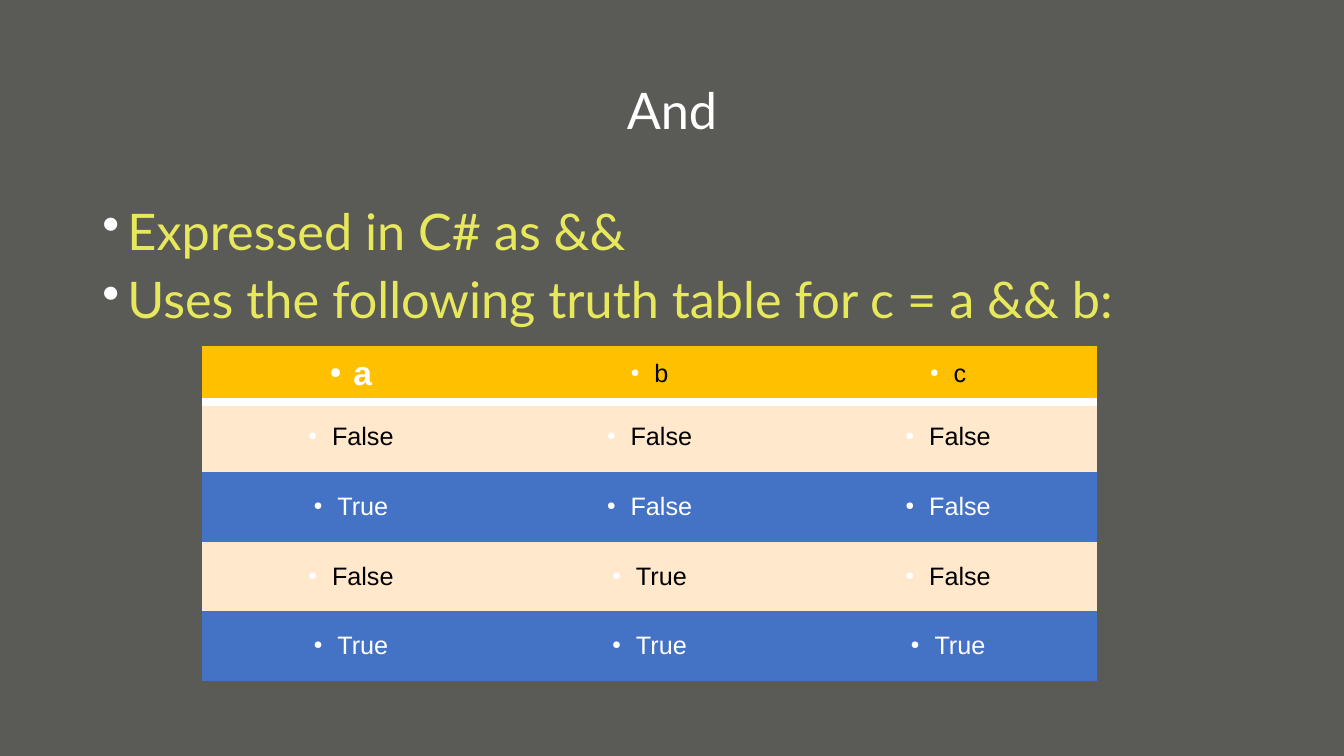
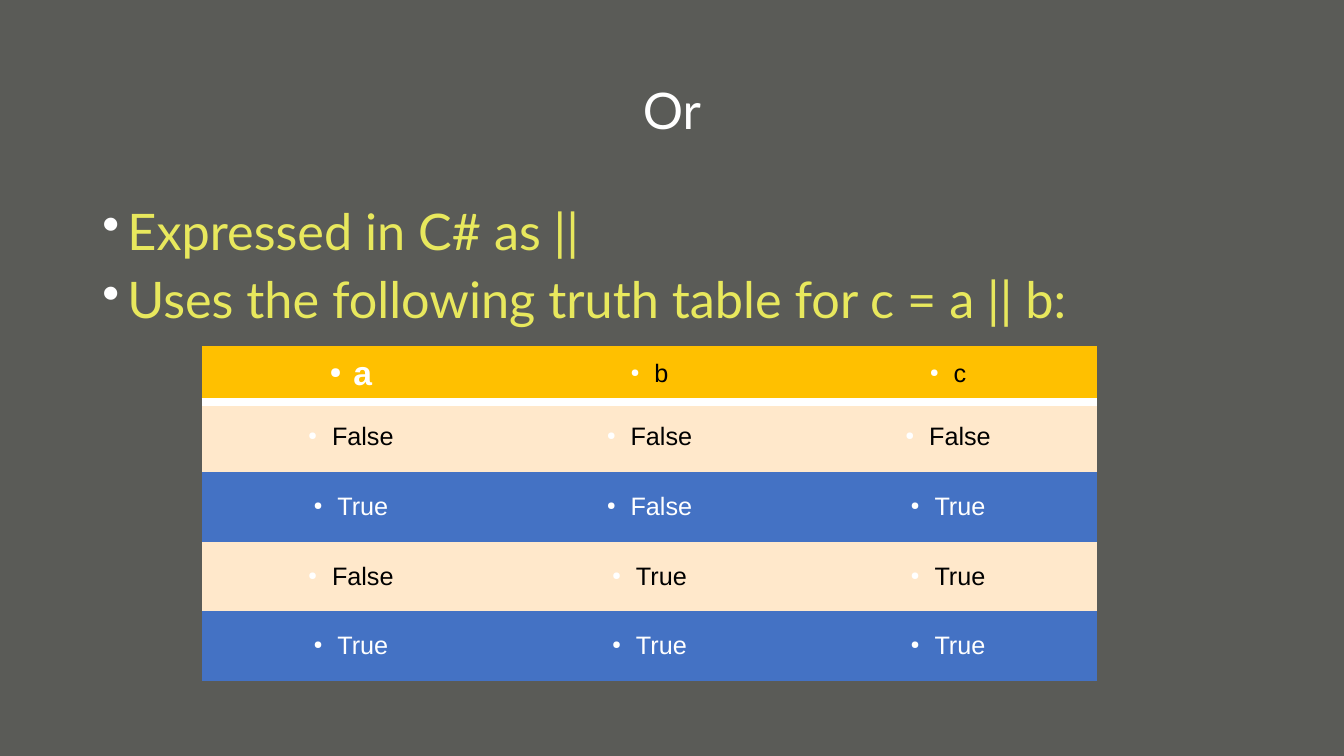
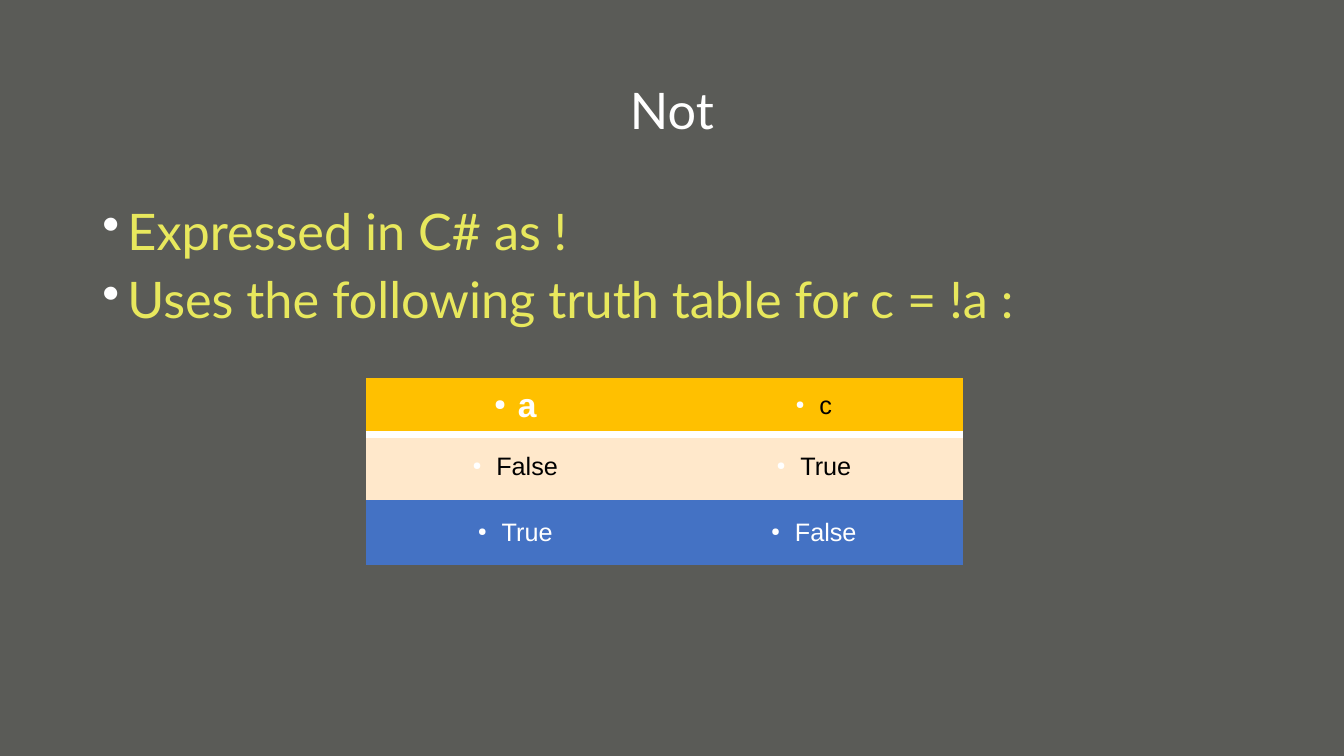
from lxml import etree
from pptx import Presentation
from pptx.dml.color import RGBColor
from pptx.enum import text as t
from pptx.oxml.ns import qn
from pptx.util import Pt

# Shared look
BACKGROUND = RGBColor(0x5A, 0x5B, 0x57)
WHITE = RGBColor(0xFF, 0xFF, 0xFF)
BLACK = RGBColor(0x00, 0x00, 0x00)
YELLOW = RGBColor(0xE8, 0xE8, 0x5D)
GOLD = RGBColor(0xFF, 0xC0, 0x00)
CREAM = RGBColor(0xFF, 0xE8, 0xCB)
BLUE = RGBColor(0x44, 0x72, 0xC4)
HEADING_FONT = "Lato"
TABLE_FONT = "Arial"
PLAIN_TABLE_STYLE = "{2D5ABB26-0587-4C30-8999-92F81FD0307C}"

# Shared places, in points
SLIDE_WIDTH, SLIDE_HEIGHT = 960, 540
TEXT_LEFT, TEXT_WIDTH = 66, 828
COLUMN_WIDTH = 213.3
HEADER_HEIGHT = 40.3

# Title, expression in C#, formula, table left, top, row height, table rows
SLIDES = [
    ("And", "&&", "a && b:", 144, 247, 49.8,
     ["a b c", "False False False", "True False False",
      "False True False", "True True True"]),
    ("Or", "||", "a || b:", 144, 247, 49.8,
     ["a b c", "False False False", "True False True",
      "False True True", "True True True"]),
    ("Not", "!", "!a :", 261.4, 270, 46.8,
     ["a c", "False True", "True False"]),
]


def write(paragraph, text, *, font, size, color, bold=False, align=None):
    """Put one formatted run into a paragraph."""
    paragraph.alignment = align
    run = paragraph.add_run()
    run.text = text
    run.font.name = font
    run.font.size = Pt(size)
    run.font.bold = bold
    run.font.color.rgb = color


def add_bullet(paragraph, character, indent, percent=100):
    """Give a paragraph a white bullet with a hanging indent."""
    properties = paragraph._p.get_or_add_pPr()
    properties.set("marL", str(Pt(indent)))
    properties.set("indent", str(-Pt(indent)))
    color = etree.SubElement(properties, qn("a:buClr"))
    etree.SubElement(color, qn("a:srgbClr"), val=str(WHITE))
    etree.SubElement(properties, qn("a:buSzPct"), val=str(percent * 1000))
    etree.SubElement(properties, qn("a:buChar"), char=character)


def add_text(slide, top, height, lines, *, color, bullet=None, align=None,
             anchor=t.MSO_ANCHOR.TOP, space_before=0):
    """Add a text box with one paragraph for each line."""
    box = slide.shapes.add_textbox(Pt(TEXT_LEFT), Pt(top), Pt(TEXT_WIDTH), Pt(height))
    frame = box.text_frame
    frame.word_wrap = True
    frame.vertical_anchor = anchor
    for index, line in enumerate(lines):
        paragraph = frame.add_paragraph() if index else frame.paragraphs[0]
        paragraph.line_spacing = 0.9
        paragraph.space_before = Pt(space_before)
        write(paragraph, line, font=HEADING_FONT, size=36, color=color, align=align)
        if bullet:
            add_bullet(paragraph, bullet, 18)


def add_bottom_border(cell, color, width):
    """Draw a line under a cell; borders stand before the fill."""
    line = etree.Element(qn("a:lnB"), w=str(Pt(width)))
    fill = etree.SubElement(line, qn("a:solidFill"))
    etree.SubElement(fill, qn("a:srgbClr"), val=str(color))
    cell._tc.get_or_add_tcPr().insert(0, line)


def fill_cell(cell, text, fill, **text_format):
    cell.fill.solid()
    cell.fill.fore_color.rgb = fill
    cell.vertical_anchor = t.MSO_ANCHOR.MIDDLE
    paragraph = cell.text_frame.paragraphs[0]
    write(paragraph, text, font=TABLE_FONT, align=t.PP_ALIGN.CENTER, **text_format)
    add_bullet(paragraph, "●", 17, percent=45)


def add_truth_table(slide, left, top, row_height, lines):
    """Add a gold header row and rows that alternate cream and blue."""
    rows = [line.split() for line in lines]
    columns = len(rows[0])
    height = HEADER_HEIGHT + row_height * (len(rows) - 1)
    table = slide.shapes.add_table(
        len(rows), columns, Pt(left), Pt(top),
        Pt(COLUMN_WIDTH * columns), Pt(height)).table
    table.first_row = table.horz_banding = False
    table._tbl.tblPr.find(qn("a:tableStyleId")).text = PLAIN_TABLE_STYLE
    for column in table.columns:
        column.width = Pt(COLUMN_WIDTH)

    for row_index, values in enumerate(rows):
        is_header = row_index == 0
        table.rows[row_index].height = Pt(HEADER_HEIGHT if is_header else row_height)
        if is_header:
            fill, color = GOLD, BLACK
        else:
            fill, color = (CREAM, BLACK) if row_index % 2 else (BLUE, WHITE)
        for column_index, value in enumerate(values):
            cell = table.cell(row_index, column_index)
            if is_header and column_index == 0:
                fill_cell(cell, value, fill, size=24, color=WHITE, bold=True)
            else:
                fill_cell(cell, value, fill, size=18, color=color)
            if is_header:
                add_bottom_border(cell, WHITE, 6)


def main():
    presentation = Presentation()
    presentation.slide_width = Pt(SLIDE_WIDTH)
    presentation.slide_height = Pt(SLIDE_HEIGHT)
    background = presentation.slide_master.background.fill
    background.solid()
    background.fore_color.rgb = BACKGROUND

    for title, symbol, formula, left, top, row_height, rows in SLIDES:
        slide = presentation.slides.add_slide(presentation.slide_layouts[6])
        add_text(slide, 28.8, 104.4, [title], color=WHITE,
                 align=t.PP_ALIGN.CENTER, anchor=t.MSO_ANCHOR.MIDDLE)
        add_text(slide, 144, 342.7,
                 [f"Expressed in C# as {symbol}",
                  f"Uses the following truth table for c = {formula}"],
                 color=YELLOW, bullet="•", space_before=10)
        add_truth_table(slide, left, top, row_height, rows)

    presentation.save("out.pptx")


if __name__ == "__main__":
    main()
